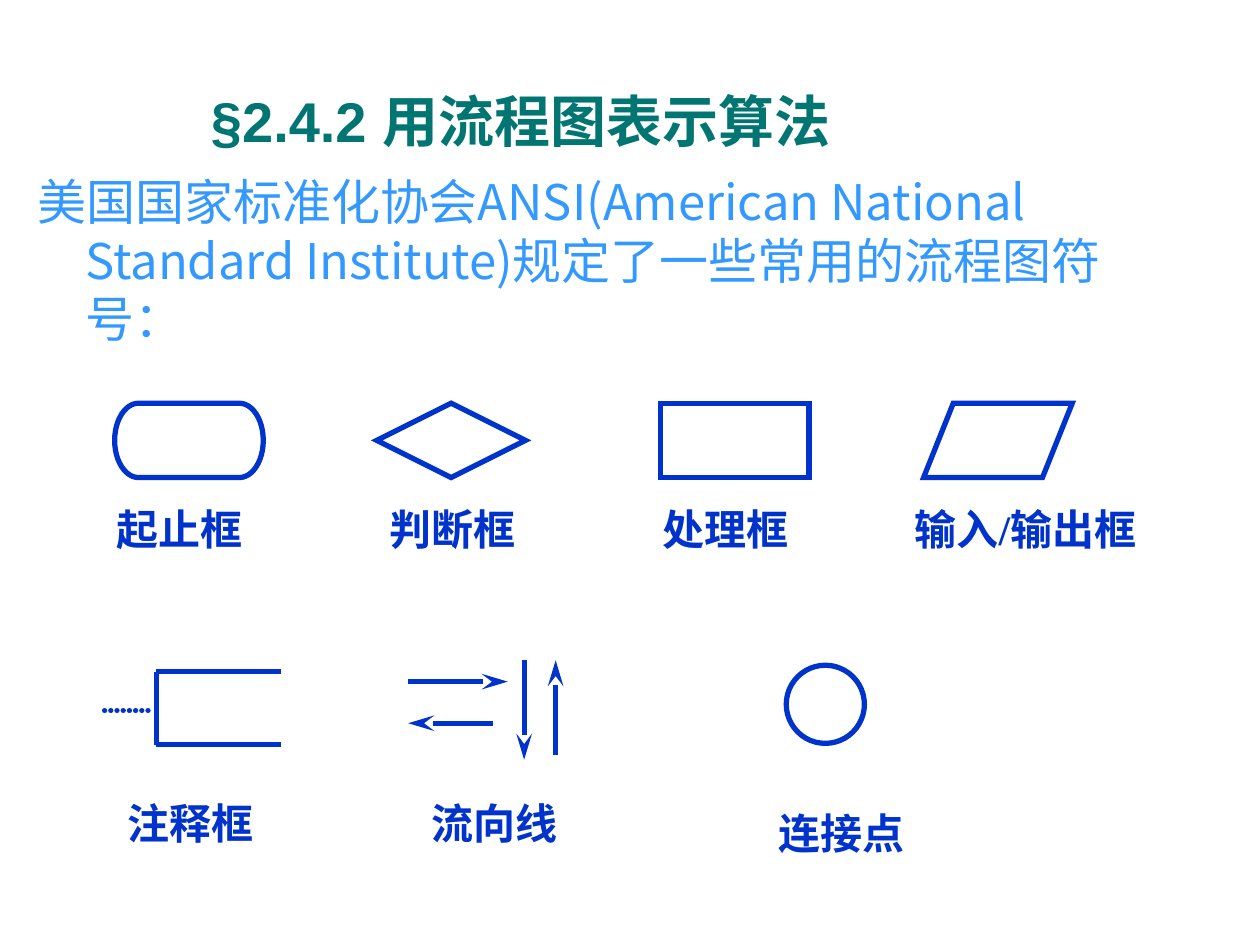
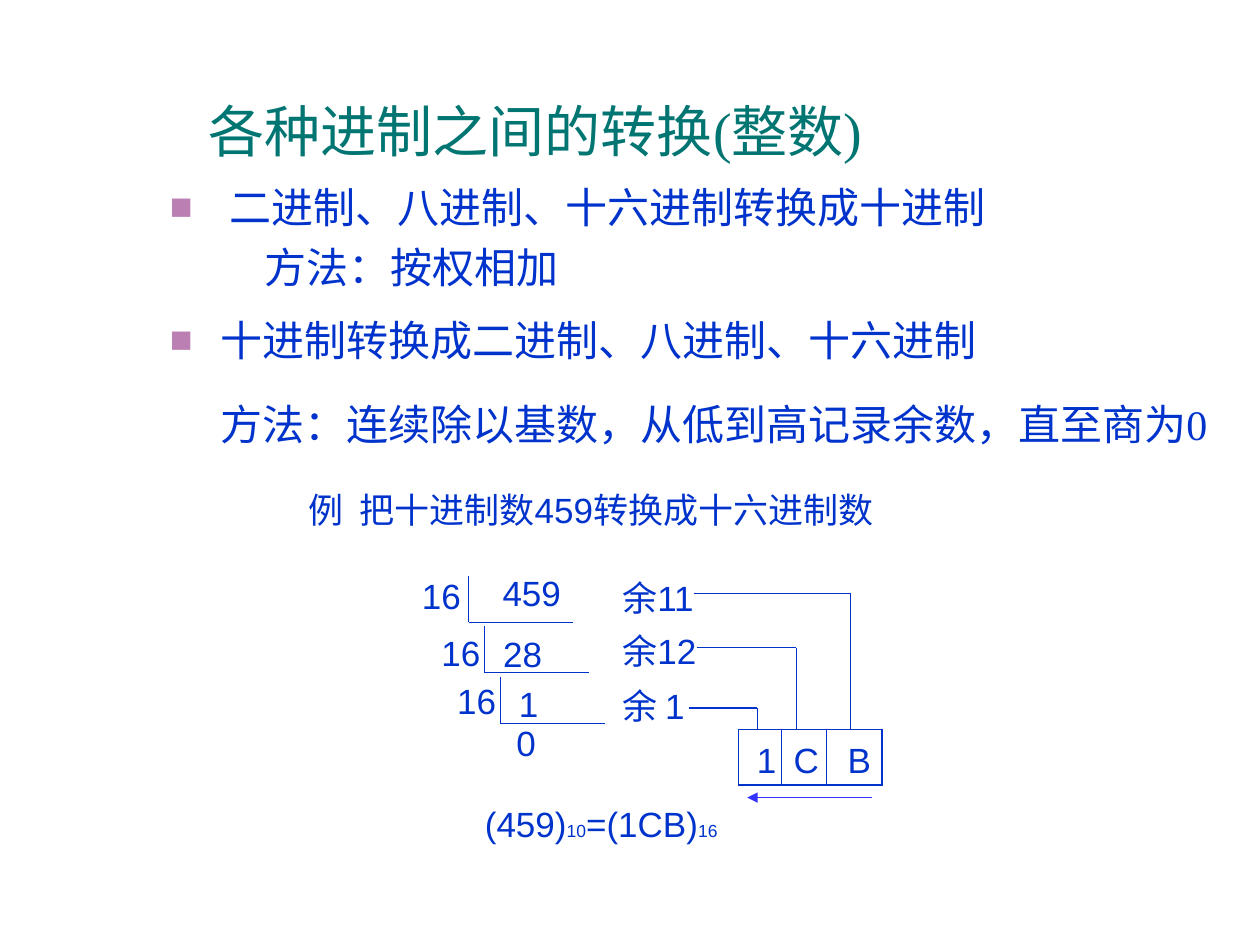
from lxml.etree import SubElement
from pptx import Presentation
from pptx.dml.color import RGBColor
from pptx.enum.shapes import MSO_CONNECTOR, MSO_SHAPE
from pptx.enum.text import MSO_ANCHOR, PP_ALIGN
from pptx.oxml.ns import qn
from pptx.util import Inches, Pt

COLORS = {"title": "007572", "ink": "0033CC", "intro": "3399FF",
          "bullet": "BB7FB4", "arrow": "3333FF"}
SERIF, SANS, CHINESE = "Times New Roman", "Arial", "Noto Sans CJK SC"
HEAVY, THIN = 3, 0.75


def rgb(name):
    """Return the palette colour called name."""
    return RGBColor.from_string(COLORS[name])


def add_text(slide, text, left, top, width, height=0.5, *, size=24, font=SERIF,
             color="ink", bold=False, align=PP_ALIGN.LEFT, anchor=MSO_ANCHOR.TOP,
             margin=0, indent=0, bullet=None):
    """Add a one-paragraph text box; text is a string or (text, size) parts."""
    box = slide.shapes.add_textbox(Inches(left), Inches(top), Inches(width), Inches(height))
    frame = box.text_frame
    frame.word_wrap = True
    frame.vertical_anchor = anchor
    paragraph = frame.paragraphs[0]
    paragraph.alignment = align
    properties = paragraph._p.get_or_add_pPr()
    properties.set("marL", str(Inches(margin)))
    properties.set("indent", str(Inches(indent)))
    if bullet:
        color_element = SubElement(properties, qn("a:buClr"))
        SubElement(color_element, qn("a:srgbClr"), val=COLORS["bullet"])
        SubElement(properties, qn("a:buSzPct"), val="90000")
        SubElement(properties, qn("a:buFont"), typeface=SERIF)
        SubElement(properties, qn("a:buChar"), char=bullet)
    for part, part_size in [(text, size)] if isinstance(text, str) else text:
        run = paragraph.add_run()
        run.text = part
        run.font.size = Pt(part_size)
        run.font.name = font
        run.font.bold = bold
        run.font.color.rgb = rgb(color)


def add_title(slide, text, left, top, width, height, **style):
    """Add the centred slide title."""
    add_text(slide, text, left, top, width, height, size=32, color="title",
             align=PP_ALIGN.CENTER, anchor=MSO_ANCHOR.MIDDLE, **style)


def add_number(slide, text, left, top, width=1.1):
    """Add one entry of the worked example."""
    add_text(slide, text, left, top, width, 0.44, size=20, font=SANS)


def add_outline(slide, kind, left, top, width, height, weight):
    """Add an unfilled preset shape with sharp corners."""
    shape = slide.shapes.add_shape(kind, Inches(left), Inches(top), Inches(width), Inches(height))
    shape.shadow.inherit = False
    shape.fill.background()
    shape.line.color.rgb = rgb("ink")
    shape.line.width = Pt(weight)
    SubElement(shape.element.spPr.find(qn("a:ln")), qn("a:miter"), lim="800000")


def add_line(slide, start, end, weight, *, color="ink", head=None, length="med", dotted=False):
    """Add a straight line, with an arrowhead at its end if head is given."""
    connector = slide.shapes.add_connector(
        MSO_CONNECTOR.STRAIGHT, *(Inches(value) for value in (*start, *end)))
    connector.line.color.rgb = rgb(color)
    connector.line.width = Pt(weight)
    properties = connector.element.spPr
    outline = properties.find(qn("a:ln"))
    if dotted:
        outline.set("cap", "rnd")
        dashes = SubElement(outline, qn("a:custDash"))
        SubElement(dashes, qn("a:ds"), d="100000", sp="18000")
    if head:
        SubElement(outline, qn("a:tailEnd"), type=head, w="med", len=length)
    SubElement(properties, qn("a:effectLst"))


def add_comment_symbol(slide, left, top):
    """Draw the open bracket with its dotted lead."""
    spine, right, bottom, middle = left + 0.41, left + 1.4, top + 0.58, top + 0.31
    for y in (top, bottom):
        add_line(slide, (spine, y), (right, y), HEAVY)
    add_line(slide, (spine, top), (spine, bottom), HEAVY)
    add_line(slide, (left, middle), (spine - 0.02, middle), HEAVY, dotted=True)


def add_flow_arrows(slide, left, top):
    """Draw the four flow directions."""
    arrows = [((0, 0.17), (0.79, 0.17)), ((0.92, 0), (0.92, 0.79)),
              ((0.67, 0.5), (0, 0.5)), ((1.17, 0.75), (1.17, 0))]
    for start, end in arrows:
        add_line(slide, (left + start[0], top + start[1]), (left + end[0], top + end[1]),
                 HEAVY, head="stealth", length="lg")


def build_flowchart_slide(presentation):
    """Build the slide of flowchart symbols."""
    slide = presentation.slides.add_slide(presentation.slide_layouts[6])
    add_title(slide, "§2.4.2 用流程图表示算法", 0.06, 0.6, 8.15, 0.71, font=SANS, bold=True)
    add_text(slide, "美国国家标准化协会ANSI(American National Standard Institute)"
             "规定了一些常用的流程图符号：", 0.2, 1.31, 8.74, 1.6,
             size=28, font=CHINESE, color="intro", margin=0.38, indent=-0.38)
    symbols = [(MSO_SHAPE.FLOWCHART_TERMINATOR, 0.91), (MSO_SHAPE.FLOWCHART_DECISION, 2.99),
               (MSO_SHAPE.FLOWCHART_PROCESS, 5.24), (MSO_SHAPE.FLOWCHART_DATA, 7.33)]
    for kind, left in symbols:
        add_outline(slide, kind, left, 3.2, 1.18, 0.59, HEAVY)
    add_comment_symbol(slide, 0.83, 5.33)
    add_flow_arrows(slide, 3.24, 5.24)
    add_outline(slide, MSO_SHAPE.FLOWCHART_CONNECTOR, 6.24, 5.28, 0.62, 0.62, HEAVY)
    labels = [("起止框", 0.83, 3.95, 1.42), ("判断框", 2.99, 3.95, 1.58),
              ("处理框", 5.16, 3.95, 1.33), ("输入/输出框", 7.16, 3.95, 2.08),
              ("注释框", 0.91, 6.28, 1.42), ("流向线", 3.33, 6.28, 1.5),
              ("连接点", 6.08, 6.36, 1.92)]
    for text, left, top, width in labels:
        add_text(slide, text, left, top, width, bold=True)


def add_division(slide, left, top):
    """Draw the repeated division by 16 as a descending staircase."""
    steps = [("459", 0.17, -0.08, -0.47, -0.06), ("28", 0.05, 0, -0.44, -0.01),
             ("1", 0.05, 0, -0.44, -0.03)]
    for index, (dividend, dividend_x, dividend_y, divisor_x, divisor_y) in enumerate(steps):
        x, y = left + 0.125 * index, top + 0.4 * index
        corner = (x, y + 0.37)
        add_line(slide, (x, y), corner, THIN)
        add_line(slide, corner, (x + 0.83, corner[1]), THIN)
        add_number(slide, dividend, x + dividend_x, y + dividend_y)
        add_number(slide, "16", x + divisor_x, y + divisor_y)
    add_number(slide, "0", left + 0.28, top + 1.11)


def add_remainders(slide, left, top):
    """Write the remainders and lead each one down to its digit cell."""
    cells_top = top + 1.26
    remainders = [("余11", 0, 0.18, 0.67, 1.91), ("余12", 0.42, 0.61, 0.69, 1.48),
                  ("余 1", 0.85, 1.09, 0.63, 1.17)]
    for text, text_y, line_y, start, end in remainders:
        add_number(slide, text, left, top + text_y)
        corner = (left + end, top + line_y)
        add_line(slide, (left + start, corner[1]), corner, THIN)
        add_line(slide, corner, (corner[0], cells_top), THIN)


def add_digit_cells(slide, left, top, width, height):
    """Draw the three result digits and the reading direction."""
    add_outline(slide, MSO_SHAPE.RECTANGLE, left, top, width, height, THIN)
    for divider in (left + 0.34, left + 0.7):
        add_line(slide, (divider, top), (divider, top + height), THIN)
    for digit, offset in (("1", 0.05), ("C", 0.34), ("B", 0.77)):
        add_number(slide, digit, left + offset, top + 0.02, 0.5)
    arrow_y = top + height + 0.1
    add_line(slide, (left + 1.06, arrow_y), (left + 0.07, arrow_y), THIN,
             color="arrow", head="triangle")


def build_conversion_slide(presentation):
    """Build the slide on converting between number bases."""
    slide = presentation.slides.add_slide(presentation.slide_layouts[6])
    add_title(slide, "各种进制之间的转换(整数)", 0, 0.73, 8.5, 0.6)
    points = [("二进制、八进制、十六进制转换成十进制", 1.39, 0.47),
              ("十进制转换成二进制、八进制、十六进制", 2.45, 0.4)]
    for text, top, hanging in points:
        add_text(slide, text, 1.25, top, 8, bullet="■", margin=hanging, indent=-hanging)
    add_text(slide, "方法：按权相加", 2, 1.87, 6.58)
    add_text(slide, "方法：连续除以基数，从低到高记录余数，直至商为0", 1.65, 3.11, 8.35)
    add_number(slide, "例  把十进制数459转换成十六进制数", 2.35, 3.83, 5.2)
    add_division(slide, 3.72, 4.57)
    add_remainders(slide, 4.84, 4.53)
    add_digit_cells(slide, 5.86, 5.79, 1.14, 0.44)
    add_number(slide, [("(459)", 20), ("10", 10), ("=(1CB)", 20), ("16", 10)],
               3.75, 6.32, 2.3)


def main():
    """Build and save the presentation."""
    presentation = Presentation()
    presentation.slide_width = Inches(10)
    presentation.slide_height = Inches(7.5)
    build_flowchart_slide(presentation)
    build_conversion_slide(presentation)
    presentation.save("out.pptx")


if __name__ == "__main__":
    main()
